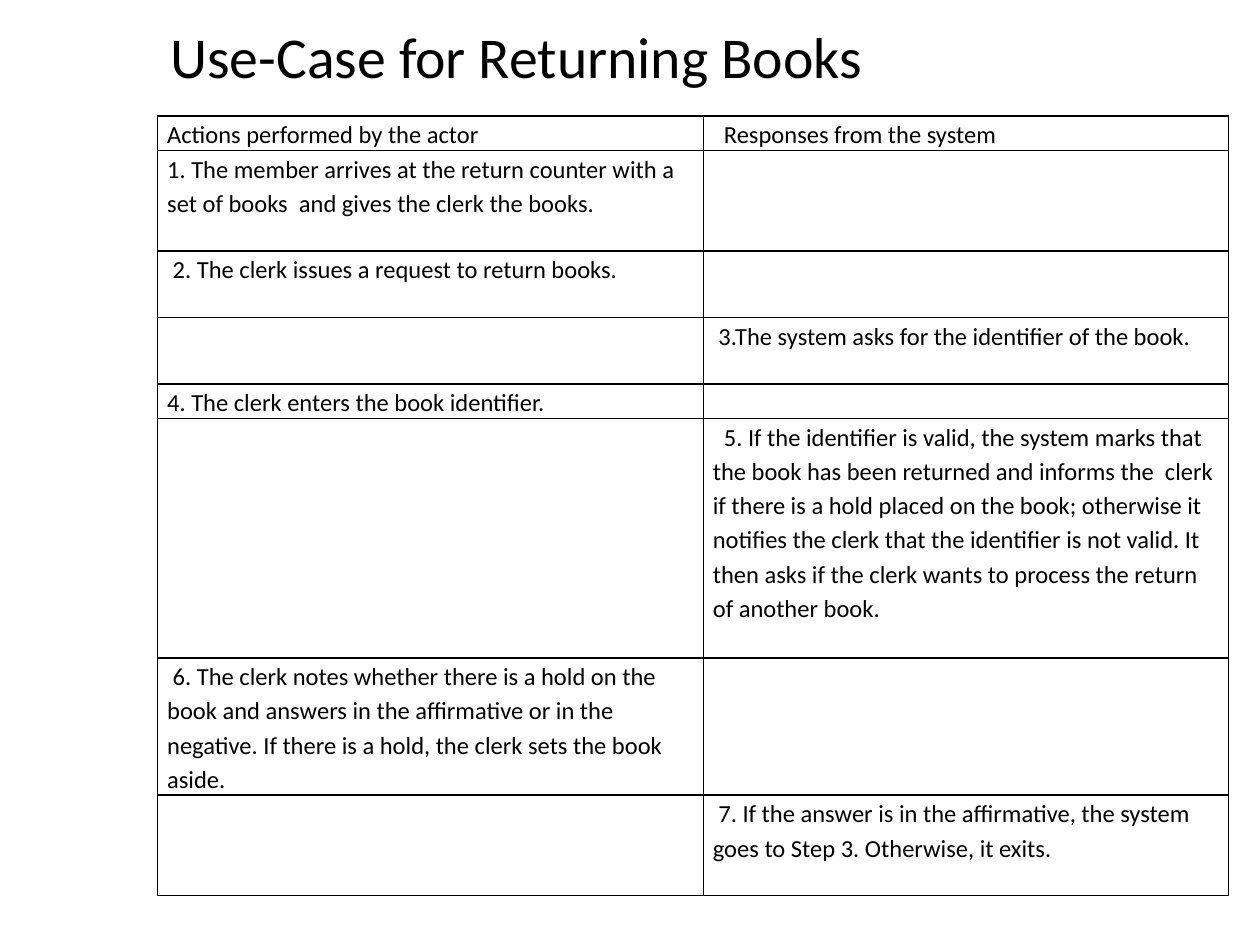
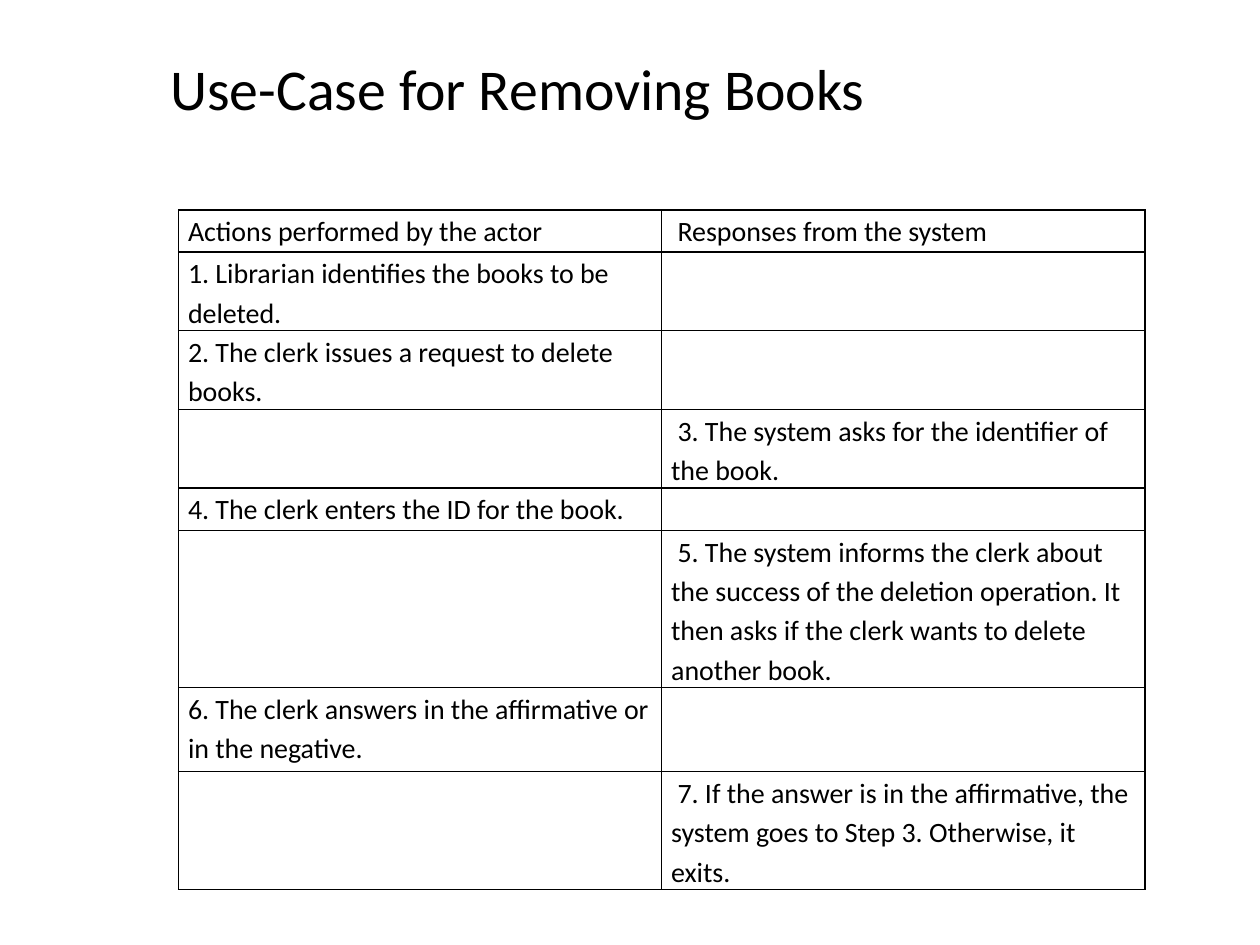
from dataclasses import dataclass

import lxml.etree
import pptx
import pptx.dml.color
import pptx.enum.text
import pptx.oxml.ns
import pptx.util

Cm = pptx.util.Cm
Pt = pptx.util.Pt
qn = pptx.oxml.ns.qn


@dataclass(frozen=True)
class Theme:
    font: str = "Calibri"
    ink: str = "000000"
    paper: str = "FFFFFF"
    title_size: float = 33
    border_width: float = 1
    title_spacing: float = 0.9
    cell_spacing: float = 1.15
    space_width: float = 0.226  # width of a space, as a share of the type size


@dataclass(frozen=True)
class Step:
    text: str
    by_system: bool = False
    indent: int = 0  # first-line indent, in space widths


HEADER_ACTOR = "Actions performed by the actor"
HEADER_SYSTEM = "Responses from the system"

RETURNING_STEPS = [
    Step("1. The member arrives at the return counter with a set of books  and gives "
         "the clerk the books."),
    Step("2. The clerk issues a request to return books.", indent=1),
    Step("3.The system asks for the identifier of the book.", by_system=True, indent=1),
    Step("4. The clerk enters the book identifier."),
    Step("5. If the identifier is valid, the system marks that the book has been returned "
         "and informs the  clerk if there is a hold placed on the book; otherwise it "
         "notifies the clerk that the identifier is not valid. It then asks if the clerk "
         "wants to process the return of another book.", by_system=True, indent=2),
    Step("6. The clerk notes whether there is a hold on the book and answers in the "
         "affirmative or in the negative. If there is a hold, the clerk sets the book "
         "aside.", indent=1),
    Step("7. If the answer is in the affirmative, the system goes to Step 3. "
         "Otherwise, it exits.", by_system=True, indent=1),
]

REMOVING_STEPS = [
    Step("1. Librarian identifies the books to be deleted."),
    Step("2. The clerk issues a request to delete  books."),
    Step("3. The system asks for the identifier of the book.", by_system=True, indent=1),
    Step("4. The clerk enters the ID for the book."),
    Step("5. The system informs the clerk about the success of the deletion operation. "
         "It then asks if the clerk wants to delete another book.",
         by_system=True, indent=1),
    Step("6. The clerk answers in the affirmative or in the negative."),
    Step("7. If the answer is in the affirmative, the system goes to Step 3. "
         "Otherwise, it exits.", by_system=True, indent=1),
]


class UseCaseDeck:
    def __init__(self, theme):
        self.theme = theme
        self.deck = pptx.Presentation()
        self.deck.slide_width = Cm(25.4)
        self.deck.slide_height = Cm(19.05)
        self.page = None

    def color(self, value):
        return pptx.dml.color.RGBColor.from_string(value)

    def add_page(self):
        self.page = self.deck.slides.add_slide(self.deck.slide_layouts[5])
        background = self.page.background.fill
        background.solid()
        background.fore_color.rgb = self.color(self.theme.paper)

    def format_paragraph(self, para, size, spacing):
        para.alignment = pptx.enum.text.PP_ALIGN.LEFT
        para.line_spacing = spacing
        for span in para.runs:
            span.font.name = self.theme.font
            span.font.size = Pt(size)
            span.font.bold = False
            span.font.color.rgb = self.color(self.theme.ink)

    def add_title(self, text, top):
        box = self.page.shapes.title
        box.left, box.top, box.width, box.height = Cm(3.18), Cm(top), Cm(21.16), Cm(2.41)
        frame = box.text_frame
        frame.text = text
        frame.auto_size = pptx.enum.text.MSO_AUTO_SIZE.NONE
        frame.vertical_anchor = pptx.enum.text.MSO_ANCHOR.MIDDLE
        self.format_paragraph(frame.paragraphs[0], self.theme.title_size,
                              self.theme.title_spacing)

    def add_borders(self, cell):
        properties = cell._tc.get_or_add_tcPr()
        for position, side in enumerate(("lnL", "lnR", "lnT", "lnB")):
            line = lxml.etree.Element(qn(f"a:{side}"), w=str(Pt(self.theme.border_width)))
            fill = lxml.etree.SubElement(line, qn("a:solidFill"))
            lxml.etree.SubElement(fill, qn("a:srgbClr"), val=self.theme.ink)
            properties.insert(position, line)

    def fill_cell(self, cell, text, size, indent):
        cell.margin_left = cell.margin_right = Cm(0.19)
        cell.margin_top = cell.margin_bottom = 0
        cell.fill.solid()
        cell.fill.fore_color.rgb = self.color(self.theme.paper)
        self.add_borders(cell)
        cell.text_frame.text = text
        para = cell.text_frame.paragraphs[0]
        self.format_paragraph(para, size, self.theme.cell_spacing)
        if indent:
            width = Pt(indent * size * self.theme.space_width)
            para._p.get_or_add_pPr().set("indent", str(width))
        if not text:
            # Keeps an empty cell from forcing its row to the default type size
            lxml.etree.SubElement(para._p, qn("a:endParaRPr"), sz=str(size * 100))

    def add_use_case(self, steps, left, top, columns, rows, size, header_indent):
        """Lay out a header and one row per step, in the column of whoever acts."""
        table = self.page.shapes.add_table(
            len(rows), len(columns), Cm(left), Cm(top),
            Cm(sum(columns)), Cm(sum(rows))).table
        table.first_row = table.horz_banding = False
        for column, width in zip(table.columns, columns):
            column.width = Cm(width)
        for row, height in zip(table.rows, rows):
            row.height = Cm(height)

        blank = Step("")
        lines = [(Step(HEADER_ACTOR), Step(HEADER_SYSTEM, indent=header_indent))]
        lines += [(blank, step) if step.by_system else (step, blank) for step in steps]
        for row, line in zip(table.rows, lines):
            for cell, step in zip(row.cells, line):
                self.fill_cell(cell, step.text, size, step.indent)


def main():
    builder = UseCaseDeck(Theme())

    builder.add_page()
    builder.add_title("Use-Case for Returning Books", top=0)
    builder.add_use_case(RETURNING_STEPS, left=3.18, top=2.34, columns=(11, 10.59),
                         rows=(0.64, 2.03, 1.34, 1.34, 0.64, 4.83, 2.74, 2.03),
                         size=14, header_indent=2)

    builder.add_page()
    builder.add_title("Use-Case for Removing Books", top=0.64)
    builder.add_use_case(REMOVING_STEPS, left=3.6, top=4.23, columns=(9.74, 9.74),
                         rows=(0.85,) * 5 + (2.54, 1.69, 1.69),
                         size=16, header_indent=1)

    builder.deck.save("out.pptx")


if __name__ == "__main__":
    main()
